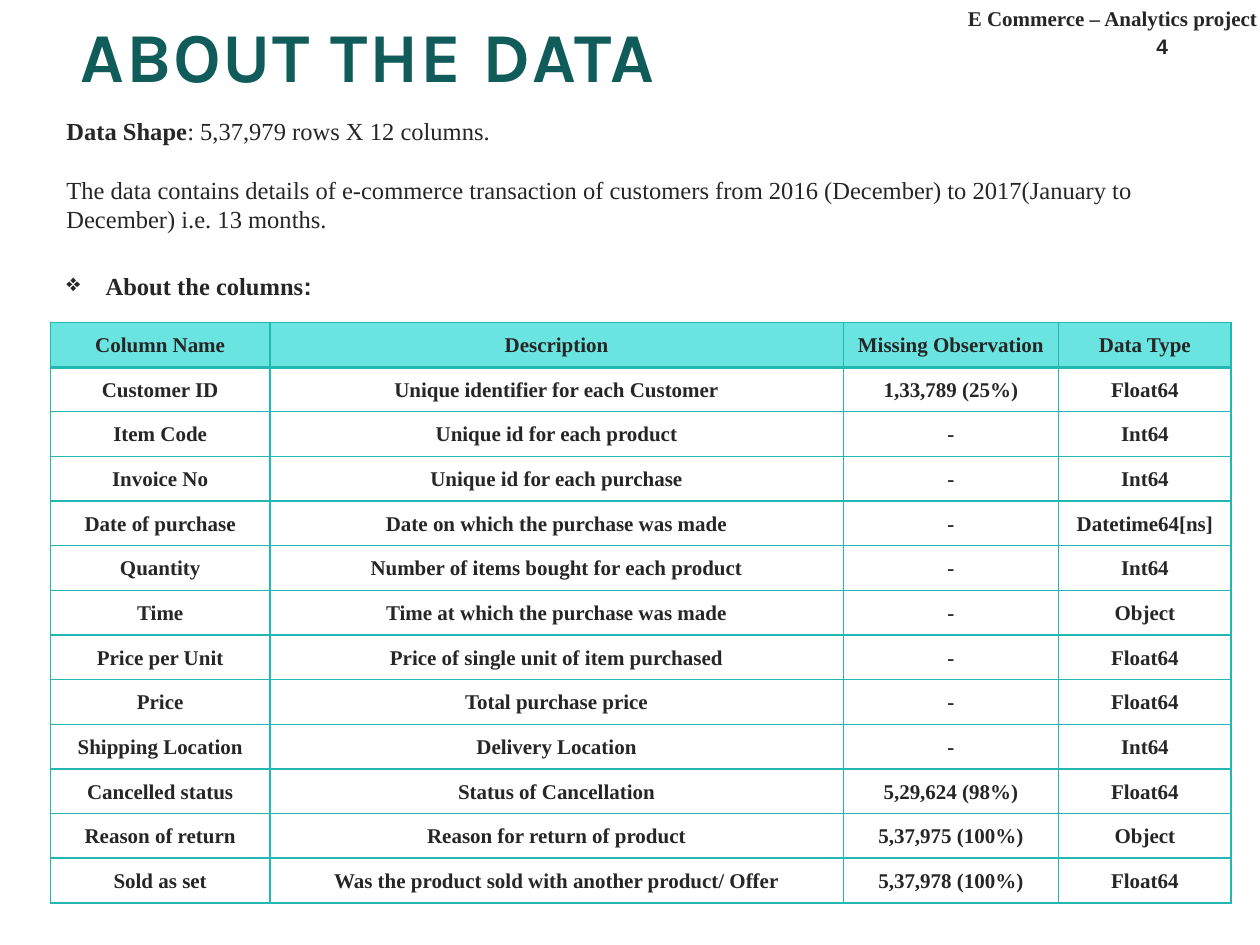
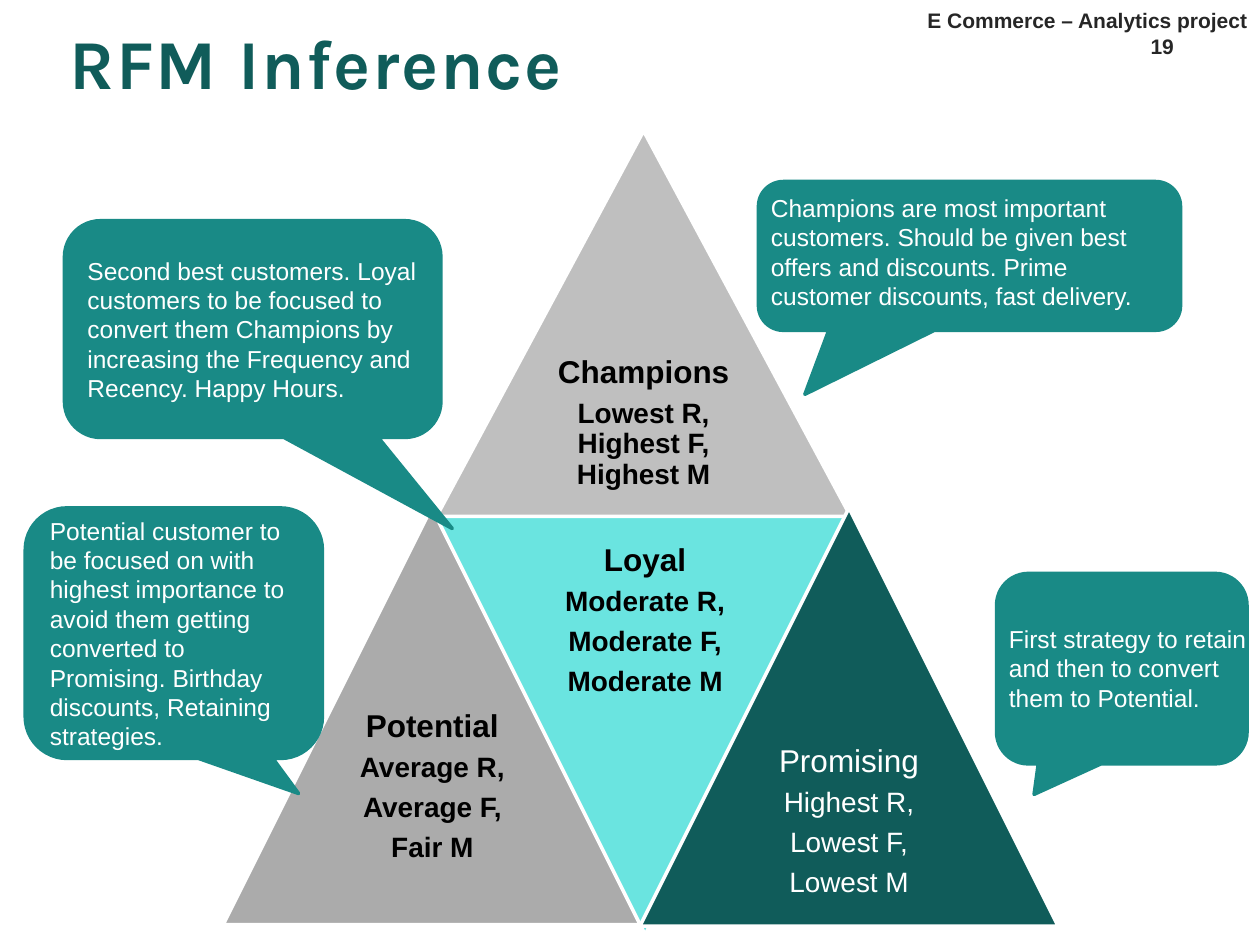
from lxml.etree import SubElement
from pptx import Presentation
from pptx.dml.color import RGBColor
from pptx.enum.shapes import MSO_SHAPE
from pptx.enum.text import MSO_ANCHOR, PP_ALIGN
from pptx.oxml.ns import qn
from pptx.util import Cm, Pt

# Shared look
INK, DEEP, TEAL, AQUA, EDGE = "262626", "105C5A", "198A86", "6AE4E0", "21B8B3"
WHITE, BLACK = "FFFFFF", "000000"
SANS, SERIF, HEAD = "Arial", "Times New Roman", "Karla"
TOP, MID, LOW = MSO_ANCHOR.TOP, MSO_ANCHOR.MIDDLE, MSO_ANCHOR.BOTTOM
PAD = (0.25, 0.13, 0.25, 0.13)

ROWS = [
    ("Column Name", "Description", "Missing Observation", "Data Type"),
    ("Customer ID", "Unique identifier for each Customer", "1,33,789 (25%)", "Float64"),
    ("Item Code", "Unique id for each product", "-", "Int64"),
    ("Invoice No", "Unique id for each purchase", "-", "Int64"),
    ("Date of purchase", "Date on which the purchase was made", "-", "Datetime64[ns]"),
    ("Quantity", "Number of items bought for each product", "-", "Int64"),
    ("Time", "Time at which the purchase was made", "-", "Object"),
    ("Price per Unit", "Price of single unit of item purchased", "-", "Float64"),
    ("Price", "Total purchase price", "-", "Float64"),
    ("Shipping Location", "Delivery Location", "-", "Int64"),
    ("Cancelled status", "Status of Cancellation", "5,29,624 (98%)", "Float64"),
    ("Reason of return", "Reason for return of product", "5,37,975 (100%)", "Object"),
    ("Sold as set", "Was the product sold with another product/ Offer",
     "5,37,978 (100%)", "Float64"),
]

# Box (left, top, width, height), fill, opacity, text colour, text top, lines
TIERS = [
    ((8.76, 2.64, 8.43, 7.85), "808080", 50, BLACK, 0.5,
     ["Champions", "Lowest R, Highest F, Highest M"]),
    ((4.5, 10.21, 8.43, 8.43), "595959", 50, BLACK, 0.42,
     ["Potential", "Average R,", "Average F,", "Fair M"]),
    ((8.79, 10.41, 8.43, 8.43), AQUA, 100, BLACK, 0,
     ["Loyal", "Moderate R,", "Moderate F,", "Moderate M"]),
    ((12.9, 10.24, 8.43, 8.43), DEEP, 100, WHITE, 0.5,
     ["Promising", "Highest R,", "Lowest F,", "Lowest M"]),
]

# Box, tip of the callout, text, and the text's own (drop, width, height) if any
NOTES = [
    ((20.09, 11.56, 5.05, 3.84), (-0.35, 0.66),
     "First strategy to retain and then to convert them to Potential.",
     (0.89, 5.56, 2.06)),
    ((15.29, 3.66, 8.51, 3), (-0.39, 0.93),
     "Champions are most important customers. Should be given best offers and "
     "discounts. Prime customer discounts, fast delivery.", (0.1, 8.51, 3.43)),
    ((1.3, 4.45, 7.59, 4.37), (0.53, 0.92),
     "Second best customers. Loyal customers to be focused to convert them "
     "Champions by increasing the Frequency and Recency. Happy Hours.", None),
    ((0.51, 10.24, 5.99, 5.05), (0.42, 0.64),
     "Potential customer to be focused on with highest importance to avoid them "
     "getting converted to Promising. Birthday discounts, Retaining strategies.", None),
]


def tint(text):
    return RGBColor.from_string(text)


def add_run(para, text, size, font=SANS, color=INK, bold=False):
    run = para.add_run()
    run.text = text
    face = run.font
    face.size, face.name, face.bold = Pt(size), font, bold
    face.color.rgb = tint(color)
    return run


def set_frame(frame, anchor=TOP, pad=PAD):
    frame.word_wrap = True
    frame.vertical_anchor = anchor
    (frame.margin_left, frame.margin_top,
     frame.margin_right, frame.margin_bottom) = map(Cm, pad)
    return frame


def add_box(slide, box, anchor=TOP, pad=PAD):
    return set_frame(slide.shapes.add_textbox(*map(Cm, box)).text_frame, anchor, pad)


def add_form(slide, kind, box, fill, line):
    form = slide.shapes.add_shape(kind, *map(Cm, box))
    form.shadow.inherit = False
    form.fill.solid()
    form.fill.fore_color.rgb = tint(fill)
    form.line.color.rgb = tint(line)
    form.line.width = Pt(2)
    return form


def add_top(slide, title, spot, number, label):
    """Title, project label and page number; label is (right, bottom, font)."""
    left, top = spot
    frame = add_box(slide, (left, top, 13.54, 2.21), MID, (0.51, 0.13, 0, 0.13))
    run = add_run(frame.paragraphs[0], title, 40, HEAD, DEEP, True)
    run.font._element.set("spc", "100")

    right, base, font = label
    para = add_box(slide, (right - 10, 0, 10, base), LOW, (0, 0, 0, 0)).paragraphs[0]
    para.alignment = PP_ALIGN.RIGHT
    add_run(para, "E Commerce – Analytics project", 12, font, bold=True)

    para = add_box(slide, (22.73, 0.48, 1.4, 0.84), LOW).paragraphs[0]
    para.alignment = PP_ALIGN.CENTER
    add_run(para, number, 12, bold=True)


def add_intro(slide, box):
    left, top, width, height = box
    frame = add_box(slide, box)
    para = frame.paragraphs[0]
    add_run(para, "Data Shape", 14, SERIF, bold=True)
    add_run(para, ": 5,37,979 rows X 12 columns.", 14, SERIF)
    para = frame.add_paragraph()
    para.space_before = Pt(16.8)
    add_run(para, "The data contains details of e-commerce transaction of customers from "
            "2016 (December) to 2017(January to December) i.e. 13 months.", 14, SERIF)

    # Bulleted heading for the table
    para = add_box(slide, (left, top + 3.12, 5.94, 0.86)).paragraphs[0]
    props = para._p.get_or_add_pPr()
    props.set("marL", str(Cm(0.79)))
    props.set("indent", str(-Cm(0.79)))
    SubElement(props, qn("a:buChar"), char="❖")
    add_run(para, "About the columns", 14, SERIF, bold=True)
    add_run(para, ":", 14, bold=True)


def add_edges(cell, top, base):
    props = cell._tc.get_or_add_tcPr()
    for side, width in zip("LRTB", (1, 1, top, base)):
        line = SubElement(props, qn(f"a:ln{side}"), w=str(Pt(width)))
        fill = SubElement(line, qn("a:solidFill"))
        SubElement(fill, qn("a:srgbClr"), val=EDGE)


def add_grid(slide, left, top, widths, step):
    table = slide.shapes.add_table(len(ROWS), len(widths), Cm(left), Cm(top),
                                   Cm(sum(widths)), Cm(step * len(ROWS))).table
    table.first_row = table.horz_banding = False
    for col, width in zip(table.columns, widths):
        col.width = Cm(width)
    for r, words in enumerate(ROWS):
        table.rows[r].height = Cm(step)
        for c, word in enumerate(words):
            cell = table.cell(r, c)
            add_edges(cell, 2 if r == 1 else 1, 2 if r == 0 else 1)
            if r == 0:
                cell.fill.solid()
                cell.fill.fore_color.rgb = tint(AQUA)
            else:
                cell.fill.background()
            cell.vertical_anchor = MID
            cell.margin_left = cell.margin_right = cell.margin_top = Cm(0.03)
            cell.margin_bottom = 0
            para = cell.text_frame.paragraphs[0]
            para.alignment = PP_ALIGN.CENTER
            add_run(para, word, 12, SERIF, bold=True)


def add_tier(slide, box, fill, alpha, color, drop, lines):
    left, top, width, height = box
    form = add_form(slide, MSO_SHAPE.ISOSCELES_TRIANGLE, box, fill, WHITE)
    if drop == 0:
        form.rotation = 180
    if alpha < 100:
        shade = form._element.spPr.find(qn("a:solidFill"))[0]
        SubElement(shade, qn("a:alpha"), val=str(alpha * 1000))

    area = (left + width / 4, top + height * drop, width / 2, height / 2)
    frame = add_box(slide, area, MID, (0.18,) * 4)
    for i, line in enumerate(lines):
        para = frame.add_paragraph() if i else frame.paragraphs[0]
        para.alignment = PP_ALIGN.CENTER
        para.line_spacing = 0.9
        para.space_after = Pt(5.5)
        add_run(para, line, 16 if i else 18, SANS, color, color == BLACK)


def add_note(slide, box, tip, text, own):
    form = add_form(slide, MSO_SHAPE.ROUNDED_RECTANGULAR_CALLOUT, box, TEAL, TEAL)
    form.adjustments[0], form.adjustments[1] = tip
    if own:
        drop, width, height = own
        frame = add_box(slide, (box[0], box[1] + drop, width, height))
    else:
        frame = set_frame(form.text_frame, MID)
    para = frame.paragraphs[0]
    para.alignment = PP_ALIGN.LEFT
    add_run(para, text, 14, SANS, WHITE)


def data_slide(slide):
    add_top(slide, "ABOUT THE DATA", (1.12, 0), "4", (25.35, 0.62, SERIF))
    add_intro(slide, (1.09, 2.21, 23.19, 2.64))
    add_grid(slide, 1.02, 6.5, (4.42, 11.56, 4.34, 3.48), 0.9)


def rfm_slide(slide):
    add_top(slide, "RFM Inference", (0.89, 0.13), "19", (25.15, 0.67, SANS))
    for tier in TIERS:
        add_tier(slide, *tier)
    for note in NOTES:
        add_note(slide, *note)


def main():
    deck = Presentation()
    deck.slide_width, deck.slide_height = Cm(25.4), Cm(19.05)
    for build in (data_slide, rfm_slide):
        build(deck.slides.add_slide(deck.slide_layouts[6]))
    deck.save("out.pptx")


if __name__ == "__main__":
    main()
